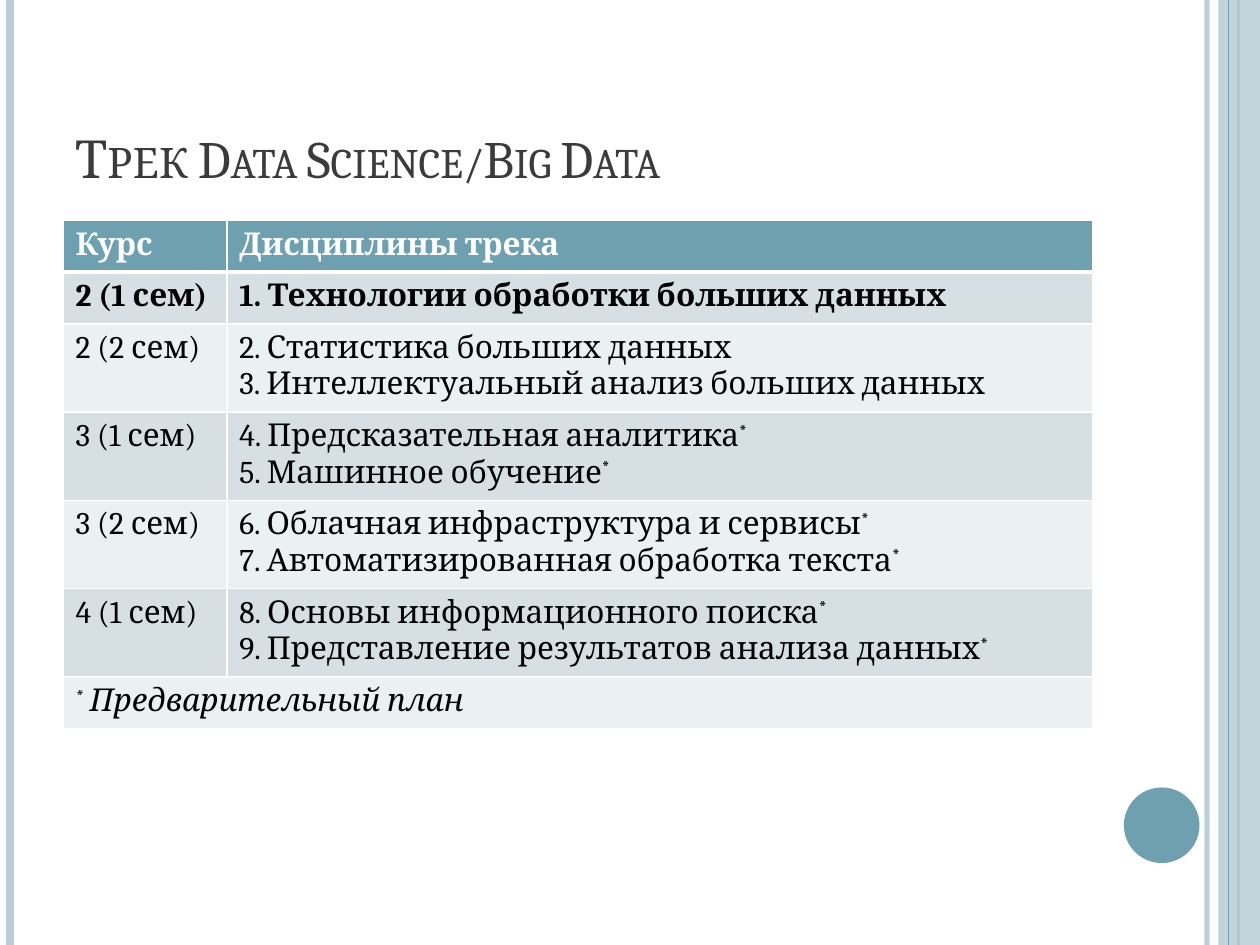
import dataclasses

import pptx
import pptx.dml.color
import pptx.enum.shapes
import pptx.enum.text
import pptx.oxml
import pptx.oxml.ns
import pptx.util
from pptx.util import Inches


@dataclasses.dataclass(frozen=True)
class Theme:
    """Colours, font and type sizes of the slide."""
    font: str = "Cambria"
    title_size: int = 30
    body_size: int = 18
    title: str = "3B3B3B"
    text: str = "000000"
    white: str = "FFFFFF"
    accent: str = "6EA0B0"
    pale: str = "BACDD4"
    bands: tuple = ("D5DFE4", "EBF0F2")


def rgb(value):
    """Turn a hex string into a colour."""
    return pptx.dml.color.RGBColor.from_string(value)


def set_alpha(element, percent):
    """Make the colour inside an element partly transparent."""
    colour = next(element.iter(pptx.oxml.ns.qn("a:srgbClr")))
    alpha = colour.makeelement(pptx.oxml.ns.qn("a:alpha"), {"val": str(percent * 1000)})
    colour.append(alpha)


class SlideBuilder:
    """Holds the theme and the current page and adds elements to it."""

    def __init__(self, page, theme):
        """Remember the page and its theme."""
        self.page = page
        self.theme = theme

    def vertical_rule(self, x, colour, width, alpha=None):
        """Draw a line over the full height of the slide."""
        rule = self.page.shapes.add_connector(
            pptx.enum.shapes.MSO_CONNECTOR.STRAIGHT,
            Inches(x), Inches(0), Inches(x), Inches(7.5))
        rule.line.color.rgb = rgb(colour)
        rule.line.width = pptx.util.Pt(width)
        properties = rule._element.spPr
        properties.append(properties.makeelement(pptx.oxml.ns.qn("a:effectLst"), {}))
        if alpha:
            set_alpha(properties, alpha)

    def shape(self, kind, left, top, width, height, colour, alpha=None):
        """Add a filled shape without outline."""
        shape = self.page.shapes.add_shape(
            kind, Inches(left), Inches(top), Inches(width), Inches(height))
        shape.shadow.inherit = False
        shape.fill.solid()
        shape.fill.fore_color.rgb = rgb(colour)
        shape.line.fill.background()
        if alpha:
            set_alpha(shape._element.spPr, alpha)

    def style(self, para, size, colour, bold=False, italic=False):
        """Set the font of a whole paragraph."""
        para.font.name = self.theme.font
        para.font.size = pptx.util.Pt(size)
        para.font.color.rgb = rgb(colour)
        para.font.bold = bold
        para.font.italic = italic

    def title(self, text, left, top, width, height):
        """Add the heading in small capitals, resting on the box bottom."""
        box = self.page.shapes.add_textbox(
            Inches(left), Inches(top), Inches(width), Inches(height))
        frame = box.text_frame
        frame.word_wrap = True
        frame.vertical_anchor = pptx.enum.text.MSO_ANCHOR.BOTTOM
        para = frame.paragraphs[0]
        self.style(para, self.theme.title_size, self.theme.title)
        span = para.add_run()
        span.text = text
        span._r.get_or_add_rPr().set("cap", "small")

    def borders(self, cell, widths):
        """Draw white borders, widths given by side."""
        properties = cell._tc.get_or_add_tcPr()
        for side in "LRTB":
            properties.append(pptx.oxml.parse_xml(
                f'<a:ln{side} {pptx.oxml.ns.nsdecls("a")} '
                f'w="{pptx.util.Pt(widths.get(side, 1))}"><a:solidFill>'
                f'<a:srgbClr val="{self.theme.white}"/></a:solidFill></a:ln{side}>'))

    def fill_cell(self, cell, text, colour, bold, italic):
        """Write lines into a cell, raising every asterisk."""
        frame = cell.text_frame
        for index, line in enumerate(text.split("\n")):
            para = frame.paragraphs[0] if index == 0 else frame.add_paragraph()
            self.style(para, self.theme.body_size, colour, bold, italic)
            before, star, after = line.partition("*")
            for part in filter(None, (before, star, after)):
                span = para.add_run()
                span.text = part
                if part == "*":
                    span._r.get_or_add_rPr().set("baseline", "30000")

    def table(self, rows, left, top, columns, row_height):
        """Add a banded table with a header and a merged footnote row."""
        table = self.page.shapes.add_table(
            len(rows), len(columns), Inches(left), Inches(top),
            Inches(sum(columns)), Inches(row_height * len(rows))).table
        for column, width in zip(table.columns, columns):
            column.width = Inches(width)
        last = len(rows) - 1
        table.cell(last, 0).merge(table.cell(last, len(columns) - 1))
        for index, texts in enumerate(rows):
            header = index == 0
            fill = self.theme.accent if header else self.theme.bands[(index - 1) % 2]
            colour = self.theme.white if header else self.theme.text
            widths = {0: {"B": 3}, 1: {"T": 3}}.get(index, {})
            for cell in table.rows[index].cells:
                self.borders(cell, widths)
                cell.fill.solid()
                cell.fill.fore_color.rgb = rgb(fill)
            for number, text in enumerate(texts):
                self.fill_cell(table.cell(index, number), text, colour,
                               bold=index < 2, italic=index == last)


TRACK_ROWS = [
    ("Курс", "Дисциплины трека"),
    ("2 (1 сем)", "1. Технологии обработки больших данных"),
    ("2 (2 сем)", "2. Статистика больших данных\n3. Интеллектуальный анализ больших данных"),
    ("3 (1 сем)", "4. Предсказательная аналитика*\n5. Машинное обучение*"),
    ("3 (2 сем)", "6. Облачная инфраструктура и сервисы*\n7. Автоматизированная обработка текста*"),
    ("4 (1 сем)", "8. Основы информационного поиска*\n9. Представление результатов анализа данных*"),
    ("* Предварительный план",),
]


def main():
    """Build the slide and save it."""
    deck = pptx.Presentation()
    deck.slide_width = Inches(10)
    deck.slide_height = Inches(7.5)
    theme = Theme()
    builder = SlideBuilder(deck.slides.add_slide(deck.slide_layouts[6]), theme)
    shapes = pptx.enum.shapes.MSO_SHAPE

    builder.vertical_rule(9.58, theme.pale, 3, alpha=93)
    builder.vertical_rule(0.08, theme.pale, 4.5)
    builder.vertical_rule(9.83, theme.accent, 1.5)
    builder.shape(shapes.RECTANGLE, 9.67, 0, 0.33, 7.5, theme.pale, alpha=87)
    builder.vertical_rule(9.75, theme.accent, 0.75)
    builder.shape(shapes.OVAL, 8.92, 6.25, 0.6, 0.6, theme.accent)
    builder.title("Трек Data Science/Big Data", 0.5, 0.3, 8.17, 1.25)
    builder.table(TRACK_ROWS, 0.5, 1.75, (1.3, 6.87), 0.41)
    deck.save("out.pptx")


main()
